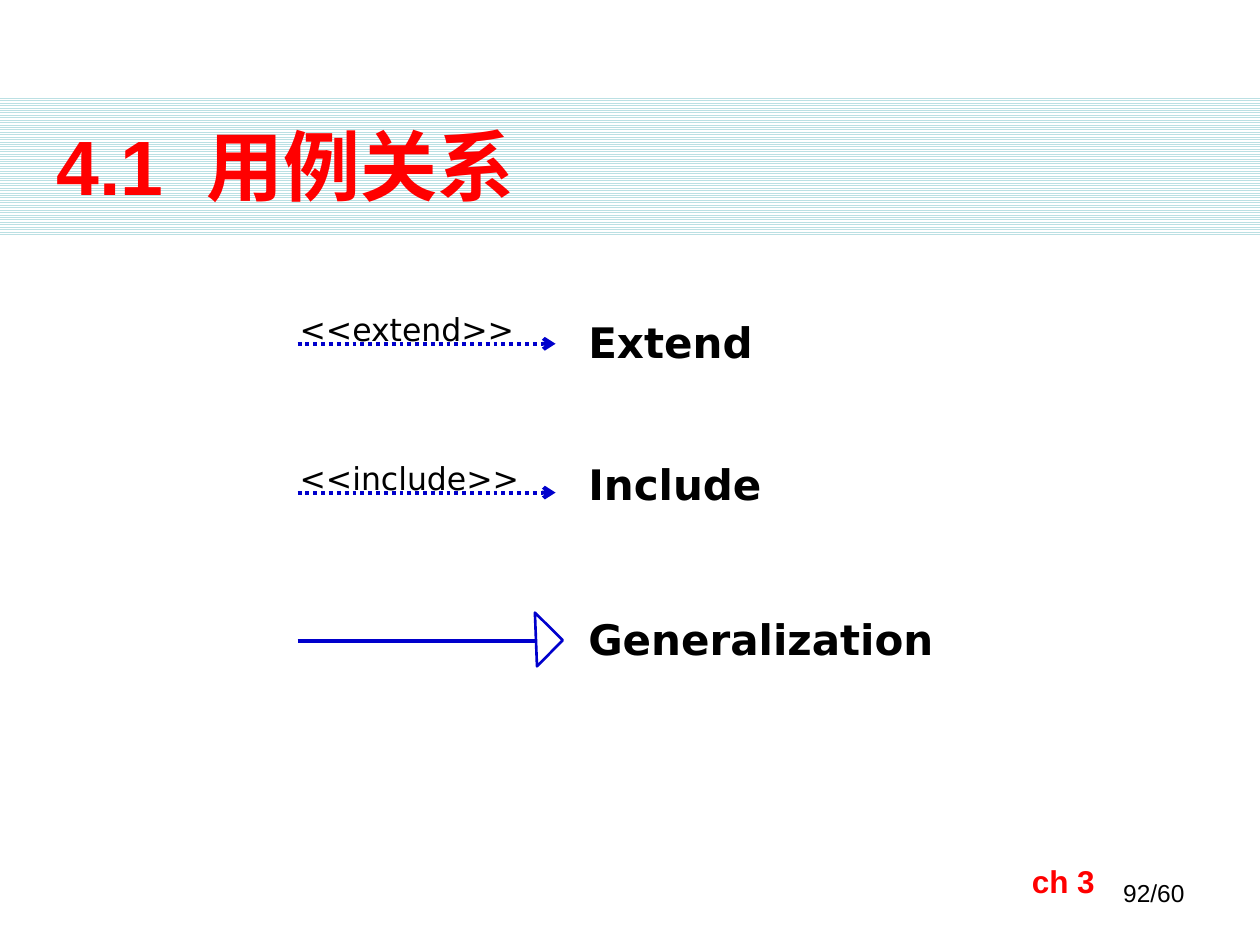
import pptx
import pptx.util
import pptx.dml.color
import pptx.enum.dml
import pptx.enum.shapes
import pptx.enum.text
import pptx.oxml.ns
import lxml.etree

Cm, Pt = pptx.util.Cm, pptx.util.Pt
COLORS = {"title": "FF0000", "text": "000000", "arrow": "0000CC",
          "band": "BBE0E3", "paper": "FFFFFF"}
UML_FONT, PAGE_FONT = "DejaVu Sans", "Arial"

# Relationship rows: name, name top, name width, stereotype (all in cm)
RELATIONS = [("Extend", 6.25, 5.8, "<<extend>>"),
             ("Include", 9.12, 5.8, "<<include>>"),
             ("Generalization", 12.24, 7.5, None)]
FIRST_ARROW_Y, ROW_STEP = 6.93, 3
ARROW_LEFT, ARROW_RIGHT, SHAFT_RIGHT = 6, 11.2, 10.82


def rgb(name):
    return pptx.dml.color.RGBColor.from_string(COLORS[name])


def style_run(run, size, font, color="text", bold=False):
    run.font.size = Pt(size)
    run.font.name = font
    run.font.bold = bold
    run.font.color.rgb = rgb(color)


def add_label(shapes, text, left, top, width, height, size, font,
              color="text", bold=False):
    label = shapes.add_textbox(Cm(left), Cm(top), Cm(width), Cm(height))
    label.text_frame.word_wrap = True
    label.text_frame.auto_size = pptx.enum.text.MSO_AUTO_SIZE.SHAPE_TO_FIT_TEXT
    paragraph = label.text_frame.paragraphs[0]
    paragraph.text = text
    style_run(paragraph.runs[0], size, font, color, bold)
    return paragraph


def add_line(shapes, left, right, y):
    line = shapes.add_connector(pptx.enum.shapes.MSO_CONNECTOR.STRAIGHT,
                                Cm(left), Cm(y), Cm(right), Cm(y))
    line.line.color.rgb = rgb("arrow")
    line.line.width = Pt(2.25)
    properties = line.line._get_or_add_ln().getparent()
    lxml.etree.SubElement(properties, pptx.oxml.ns.qn("a:effectLst"))
    return line


def add_dependency(shapes, stereotype, y):
    group = shapes.add_group_shape().shapes
    arrow = add_line(group, ARROW_LEFT, ARROW_RIGHT, y)
    arrow.line.dash_style = pptx.enum.dml.MSO_LINE.ROUND_DOT
    lxml.etree.SubElement(arrow.line._get_or_add_ln(),
                          pptx.oxml.ns.qn("a:tailEnd"), type="arrow")
    add_label(group, stereotype, 5.79, y - 0.81, 5, 1.02, 18, UML_FONT)


def add_generalization(shapes, y):
    group = shapes.add_group_shape().shapes
    add_line(group, ARROW_LEFT, SHAFT_RIGHT, y)
    # Turned so that the hypotenuse stands across the shaft's end
    head = group.add_shape(pptx.enum.shapes.MSO_SHAPE.RIGHT_TRIANGLE,
                           Cm(10.41), Cm(y - 0.41), Cm(0.79), Cm(0.74))
    head.rotation = 224.6
    head.shadow.inherit = False
    head.fill.background()
    head.line.color.rgb = rgb("arrow")
    head.line.width = Pt(1.5)


def add_title_band(slide):
    band = slide.shapes.add_shape(pptx.enum.shapes.MSO_SHAPE.RECTANGLE,
                                  0, Cm(1.93), Cm(25.4), Cm(2.8))
    band.shadow.inherit = False
    band.line.fill.background()
    band.fill.patterned()
    band.fill.pattern = pptx.enum.dml.MSO_PATTERN.LIGHT_HORIZONTAL
    band.fill.fore_color.rgb = rgb("band")
    band.fill.back_color.rgb = rgb("paper")
    # Send the band behind the title
    slide.shapes._spTree.insert(2, band._element)


def set_title(slide):
    title = slide.shapes.title
    title.left, title.top = Cm(0.89), Cm(2.11)
    title.width, title.height = Cm(22.86), Cm(2.41)
    title.text_frame.vertical_anchor = pptx.enum.text.MSO_ANCHOR.MIDDLE
    paragraph = title.text_frame.paragraphs[0]
    paragraph.alignment = pptx.enum.text.PP_ALIGN.LEFT
    for part in ("4.1", " ", "用例关系"):
        run = paragraph.add_run()
        run.text = part
        style_run(run, 44, PAGE_FONT, "title", True)
    # Widen the gap after the section number
    paragraph.runs[1].font._element.set("spc", "1200")


def main():
    deck = pptx.Presentation()
    deck.slide_width, deck.slide_height = Cm(25.4), Cm(19.05)
    slide = deck.slides.add_slide(deck.slide_layouts[5])

    # Heading
    add_title_band(slide)
    set_title(slide)

    # Legend of relationships
    for row, (name, top, width, stereotype) in enumerate(RELATIONS):
        y = FIRST_ARROW_Y + row * ROW_STEP
        if stereotype:
            add_dependency(slide.shapes, stereotype, y)
        else:
            add_generalization(slide.shapes, y)
        add_label(slide.shapes, name, 11.61, top, width, 1.27, 24,
                  UML_FONT, bold=True)

    # Footer
    page = add_label(slide.shapes, "92/60", 18.21, 17.58, 5.92, 1.27, 14,
                     PAGE_FONT)
    page.alignment = pptx.enum.text.PP_ALIGN.RIGHT
    add_label(slide.shapes, "ch 3", 20.55, 17.25, 3.18, 1.02, 18,
              PAGE_FONT, "title", True)

    deck.save("out.pptx")


if __name__ == "__main__":
    main()
